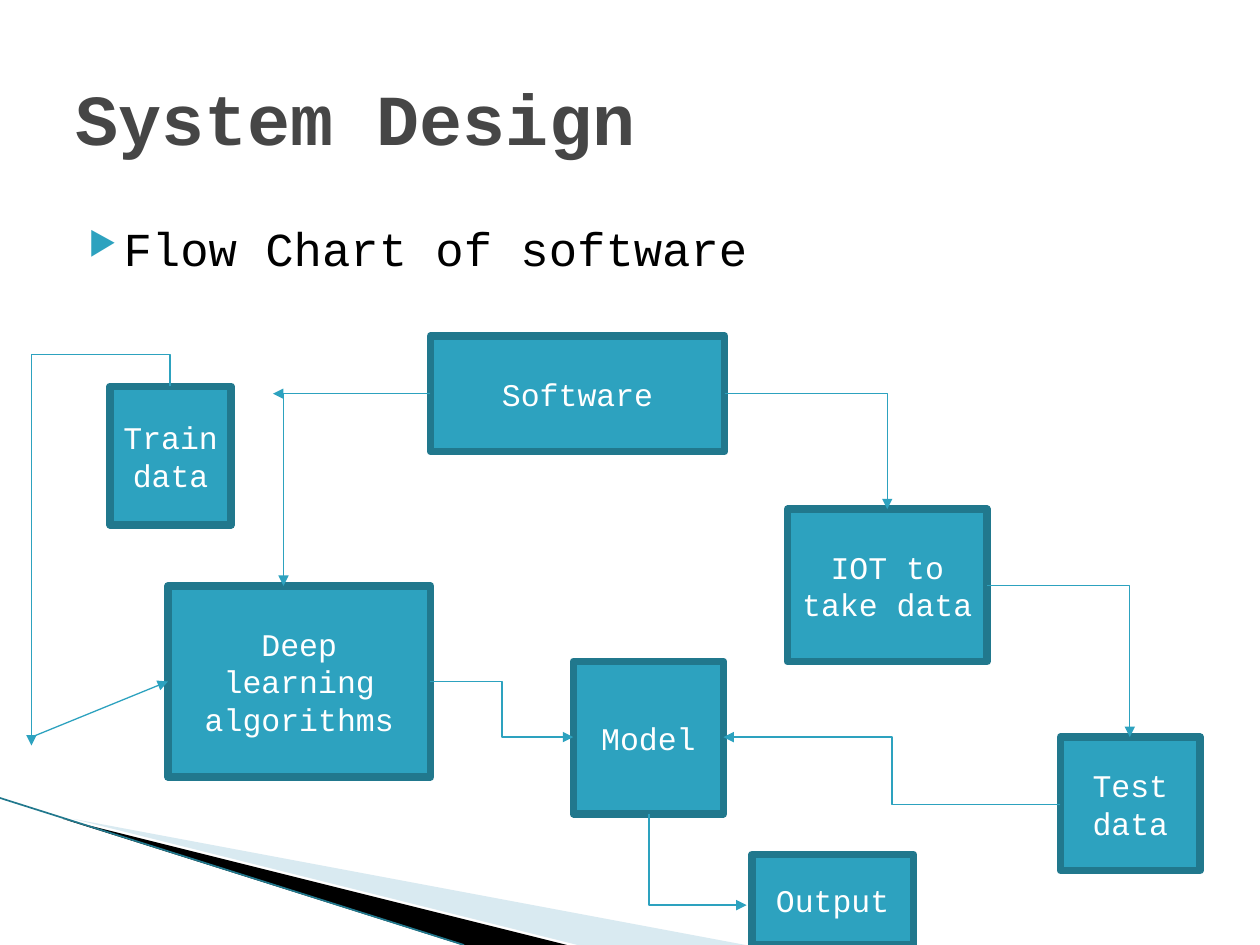
from dataclasses import dataclass

import lxml.etree
import pptx
import pptx.dml.color
import pptx.enum.shapes
import pptx.enum.text
import pptx.oxml.ns
import pptx.util

COLORS = {
    "teal": "2DA2BF", "dark_teal": "21788D", "pale": "A0CBDC",
    "black": "000000", "white": "FFFFFF", "title": "464646",
}
FONT = "Courier New"
COLUMNS, ROWS = 120, 90  # square cells, twelve to the inch
CELL = pptx.util.Inches(10) // COLUMNS

Point = tuple[float, float]


@dataclass
class Step:
    label: str
    column: float
    row: float
    width: float
    height: float


@dataclass
class Arrow:
    start: Point
    end: Point
    preset: str = "line"
    rotation: int = 0
    flips: tuple[str, ...] = ()
    bend: int | None = None  # thousandths of a percent


@dataclass
class Wedge:
    points: list[Point]
    color: str
    opacity: int


STEPS = [
    Step("Software", 41, 32, 28, 11),
    Step("IOT to take data", 75, 48.5, 19, 14.5),
    Step("Test data", 101, 70.2, 13.3, 12.7),
    Step("Deep learning algorithms", 16, 55.8, 25, 18.2),
    Step("Train data", 10.5, 36.8, 11.5, 13.2),
    Step("Model", 54.6, 63, 14.3, 14.5),
    Step("Output", 71.6, 81.4, 15.4, 8.6),
]
ARROWS = [
    Arrow((69, 37.5), (84.5, 48.5), "bentConnector2"),
    Arrow((94, 55.8), (107.6, 70.2), "bentConnector2"),
    Arrow((41, 37.5), (26, 37.5)),
    Arrow((27, 37.5), (27, 55.8)),
    Arrow((101, 76.6), (68.9, 70.2), "bentConnector3", 180),
    Arrow((16.2, 36.8), (3, 71), "bentConnector3", 270, ("flipH", "flipV"), -8800),
    Arrow((3, 70.2), (16, 64.9)),
    Arrow((41, 64.9), (54.6, 70.2), "bentConnector3"),
    Arrow((61.8, 77.5), (71.1, 86.2), "bentConnector2", 270, ("flipH",)),
]
WEDGES = [
    Wedge([(6.6, 78), (70.8, 90), (54.7, 90)], "pale", 40),
    Wedge([(6.4, 77.9), (54.4, 90), (44.2, 90)], "black", 100),
]


def cells(*counts: float) -> list[int]:
    return [round(count * CELL) for count in counts]


def rgb(name: str) -> pptx.dml.color.RGBColor:
    return pptx.dml.color.RGBColor.from_string(COLORS[name])


def add_xml(parent, tag: str, **attributes: str):
    return lxml.etree.SubElement(parent, pptx.oxml.ns.qn(tag), attributes)


def write(para, text: str, size: float, color: str, bold: bool = False) -> None:
    para.text = text
    for span in para.runs:
        span.font.name = FONT
        span.font.size = pptx.util.Pt(size)
        span.font.bold = bold
        span.font.color.rgb = rgb(color)


def draw_wedge(page, wedge: Wedge) -> None:
    builder = page.shapes.build_freeform(*wedge.points[0], scale=CELL)
    builder.add_line_segments(wedge.points[1:], close=True)
    shape = builder.convert_to_shape()
    shape.shadow.inherit = False
    shape.line.fill.background()
    shape.fill.solid()
    shape.fill.fore_color.rgb = rgb(wedge.color)
    if wedge.opacity < 100:
        color = shape.element.spPr.find(".//" + pptx.oxml.ns.qn("a:srgbClr"))
        add_xml(color, "a:alpha", val=str(wedge.opacity * 1000))


def draw_step(page, step: Step) -> None:
    box = page.shapes.add_shape(
        pptx.enum.shapes.MSO_SHAPE.FLOWCHART_PROCESS,
        *cells(step.column, step.row, step.width, step.height))
    box.shadow.inherit = False
    box.fill.solid()
    box.fill.fore_color.rgb = rgb("teal")
    box.line.color.rgb = rgb("dark_teal")
    box.line.width = pptx.util.Pt(4.33)
    box.text_frame.vertical_anchor = pptx.enum.text.MSO_ANCHOR.MIDDLE
    para = box.text_frame.paragraphs[0]
    write(para, step.label, 18, "white")
    para.alignment = pptx.enum.text.PP_ALIGN.CENTER


def add_line(page, start: Point, end: Point, color: str, width: float, preset: str = "line"):
    kinds = pptx.enum.shapes.MSO_CONNECTOR
    kind = kinds.STRAIGHT if preset == "line" else kinds.ELBOW
    line = page.shapes.add_connector(kind, *cells(*start, *end))
    line.line.color.rgb = rgb(color)
    line.line.width = pptx.util.Pt(width)
    add_xml(line.element.spPr, "a:effectLst")
    return line


def draw_arrow(page, arrow: Arrow) -> None:
    start, end = arrow.start, arrow.end
    if arrow.preset != "line":
        # The frame is laid out before its turn about the centre
        half_width, half_height = (abs(b - a) / 2 for a, b in zip(start, end))
        middle_x, middle_y = ((a + b) / 2 for a, b in zip(start, end))
        if arrow.rotation % 180:
            half_width, half_height = half_height, half_width
        start = (middle_x - half_width, middle_y - half_height)
        end = (middle_x + half_width, middle_y + half_height)
    line = add_line(page, start, end, "teal", 0.75, arrow.preset)
    properties = line.element.spPr
    if arrow.preset != "line":
        frame = properties.find(pptx.oxml.ns.qn("a:xfrm"))
        frame.set("rot", str(arrow.rotation * 60000))
        for flip in arrow.flips:
            frame.set(flip, "1")
        geometry = properties.find(pptx.oxml.ns.qn("a:prstGeom"))
        geometry.set("prst", arrow.preset)
        if arrow.bend is not None:
            guides = geometry.find(pptx.oxml.ns.qn("a:avLst"))
            add_xml(guides, "a:gd", name="adj1", fmla=f"val {arrow.bend}")
    add_xml(properties.find(pptx.oxml.ns.qn("a:ln")), "a:tailEnd", type="triangle")


def draw_title(page) -> None:
    title = page.shapes.title
    title.left, title.top, title.width, title.height = cells(6, 3.6, 108, 15)
    title.text_frame.vertical_anchor = pptx.enum.text.MSO_ANCHOR.MIDDLE
    para = title.text_frame.paragraphs[0]
    write(para, "System Design", 41, "title", bold=True)
    para.alignment = pptx.enum.text.PP_ALIGN.LEFT


def draw_bullet(page) -> None:
    box = page.shapes.add_textbox(*cells(5.8, 20.3, 108, 8))
    box.text_frame.word_wrap = True
    para = box.text_frame.paragraphs[0]
    write(para, "Flow Chart of software", 27, "black")
    para.space_before = pptx.util.Pt(4)
    properties = para._p.get_or_add_pPr()
    properties.set("marL", str(pptx.util.Inches(0.4)))
    properties.set("indent", str(pptx.util.Inches(-0.28)))
    add_xml(add_xml(properties, "a:buClr"), "a:srgbClr", val=COLORS["teal"])
    add_xml(properties, "a:buSzPct", val="68000")
    add_xml(properties, "a:buChar", char="▶")


def main() -> None:
    deck = pptx.Presentation()
    deck.slide_width, deck.slide_height = cells(COLUMNS, ROWS)
    page = deck.slides.add_slide(deck.slide_layouts.get_by_name("Title Only"))

    # Corner decoration
    for wedge in WEDGES:
        draw_wedge(page, wedge)
    add_line(page, (0, 76), (44.2, 90), "dark_teal", 0.95)

    # Heading and bullet
    draw_title(page)
    draw_bullet(page)

    # Flow chart
    for step in STEPS:
        draw_step(page, step)
    for arrow in ARROWS:
        draw_arrow(page, arrow)

    deck.save("out.pptx")


if __name__ == "__main__":
    main()
